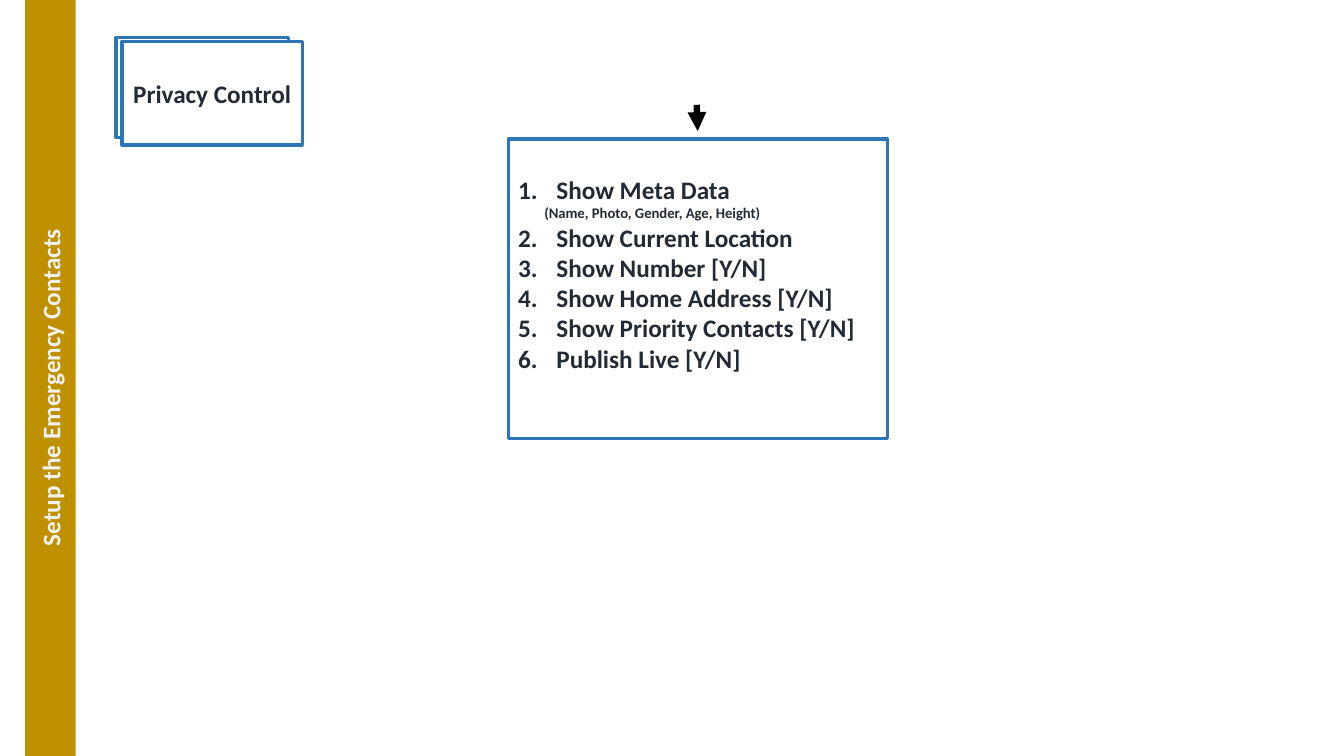
from lxml import etree
from pptx import Presentation
from pptx.dml.color import RGBColor
from pptx.enum.shapes import MSO_CONNECTOR, MSO_SHAPE
from pptx.enum.text import MSO_ANCHOR, PP_ALIGN
from pptx.oxml.ns import qn
from pptx.util import Pt

EMU_PER_PX = 9144
RECTANGLE = MSO_SHAPE.RECTANGLE
STRAIGHT = MSO_CONNECTOR.STRAIGHT
MIDDLE = MSO_ANCHOR.MIDDLE
CENTER, LEFT = PP_ALIGN.CENTER, PP_ALIGN.LEFT
FONT = "Calibri"
COLORS = {
    "gold": "BF9000",
    "pale": "F2F2F2",
    "white": "FFFFFF",
    "blue": "2E75B6",
    "ink": "222A35",
    "black": "000000",
}
META_DETAIL = "(Name, Photo, Gender, Age, Height)"
LATER_OPTIONS = [
    "Show Current Location",
    "Show Number [Y/N]",
    "Show Home Address [Y/N]",
    "Show Priority Contacts [Y/N]",
    "Publish Live [Y/N]",
]


def px(length):
    return length * EMU_PER_PX


def color(name):
    return RGBColor.from_string(COLORS[name])


def add_box(slide, left, top, width, height, fill=None, outline=None):
    box = slide.shapes.add_shape(RECTANGLE, px(left), px(top), px(width), px(height))
    box.shadow.inherit = False
    if fill:
        box.fill.solid()
        box.fill.fore_color.rgb = color(fill)
    else:
        box.fill.background()
    if outline:
        box.line.color.rgb = color(outline)
        box.line.width = Pt(2.25)
    else:
        box.line.fill.background()
    box.text_frame.word_wrap = True
    box.text_frame.vertical_anchor = MIDDLE
    return box


def write(paragraph, text, ink="ink", size=18, align=CENTER):
    paragraph.text = text
    paragraph.alignment = align
    paragraph.font.name = FONT
    paragraph.font.size = Pt(size)
    paragraph.font.bold = True
    paragraph.font.color.rgb = color(ink)


def indent(paragraph, margin, hanging=0):
    properties = paragraph._p.get_or_add_pPr()
    properties.set("marL", str(px(margin)))
    properties.set("indent", str(px(-hanging)))
    return properties


def write_option(paragraph, text, start):
    write(paragraph, text, align=LEFT)
    numbering = etree.Element(qn("a:buAutoNum"), type="arabicPeriod", startAt=str(start))
    indent(paragraph, 38, 38).insert(0, numbering)


def add_sidebar(slide):
    sidebar = add_box(slide, 25, 0, 50, 769, "gold")
    sidebar.text_frame._txBody.bodyPr.set("vert", "vert270")
    write(sidebar.text_frame.paragraphs[0], "Setup the Emergency Contacts", "pale")


def add_title_cards(slide):
    add_box(slide, 115, 37, 171, 99, "white", "blue")
    title = add_box(slide, 121, 41, 179, 103, "white", "blue")
    write(title.text_frame.paragraphs[0], "Privacy Control")


def add_arrow(slide, start_x, start_y, end_x, end_y):
    arrow = slide.shapes.add_connector(
        STRAIGHT, px(start_x), px(start_y), px(end_x), px(end_y))
    arrow.line.color.rgb = color("black")
    arrow.line.width = Pt(4.5)
    etree.SubElement(arrow.line._get_or_add_ln(), qn("a:tailEnd"), type="triangle")
    etree.SubElement(arrow._element.spPr, qn("a:effectLst"))


def add_options(slide):
    frame = add_box(slide, 504, 138, 376, 297, outline="blue").text_frame
    frame.margin_bottom = px(35)
    write_option(frame.paragraphs[0], "Show Meta Data", 1)
    detail = frame.add_paragraph()
    write(detail, META_DETAIL, size=10.5, align=LEFT)
    indent(detail, 26)
    for option in LATER_OPTIONS:
        write_option(frame.add_paragraph(), option, 2)


def main():
    deck = Presentation()
    deck.slide_width, deck.slide_height = px(1333), px(750)
    slide = deck.slides.add_slide(deck.slide_layouts[6])
    add_sidebar(slide)
    add_title_cards(slide)
    add_arrow(slide, 691, 104, 692, 130)
    add_options(slide)
    deck.save("out.pptx")


if __name__ == "__main__":
    main()
